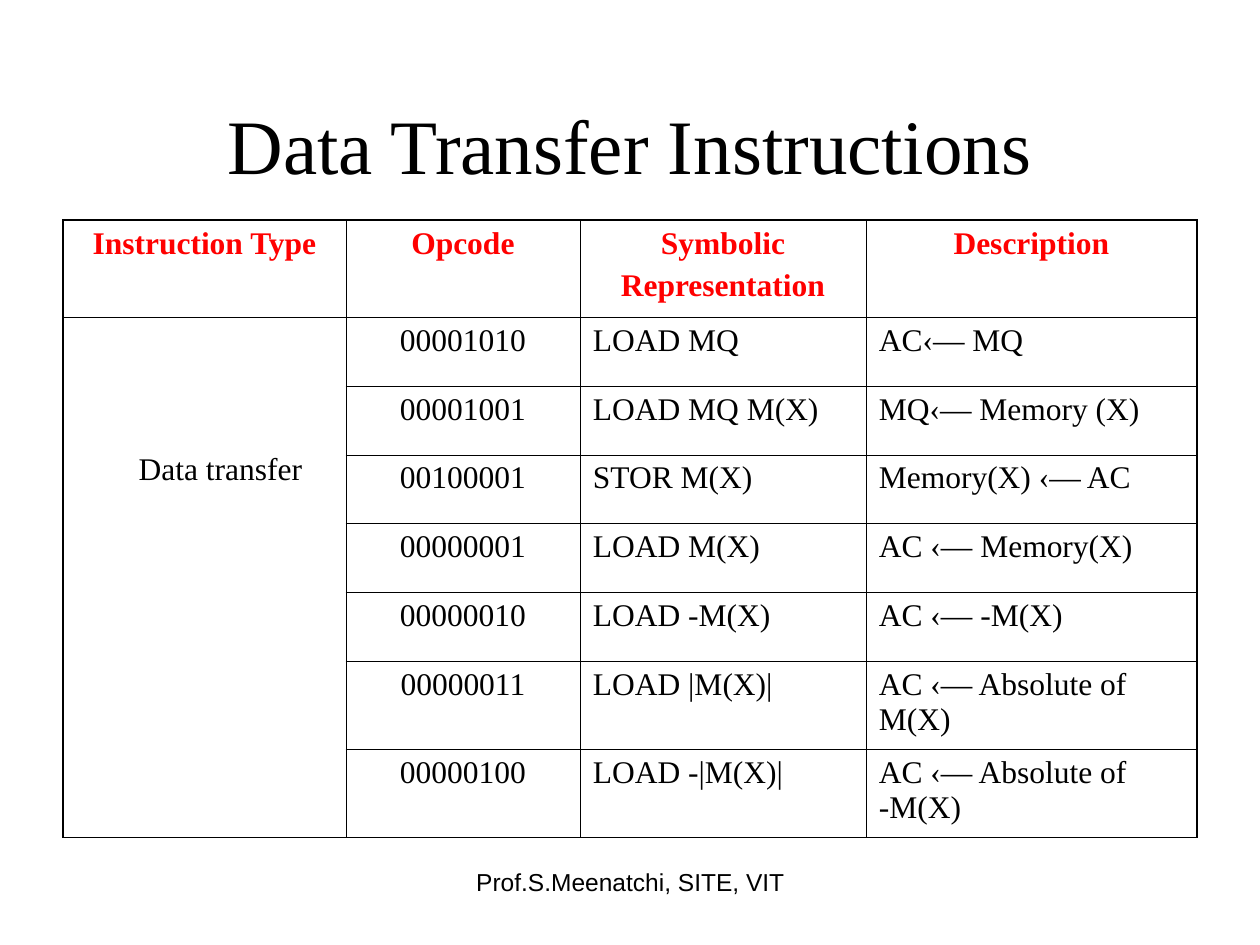
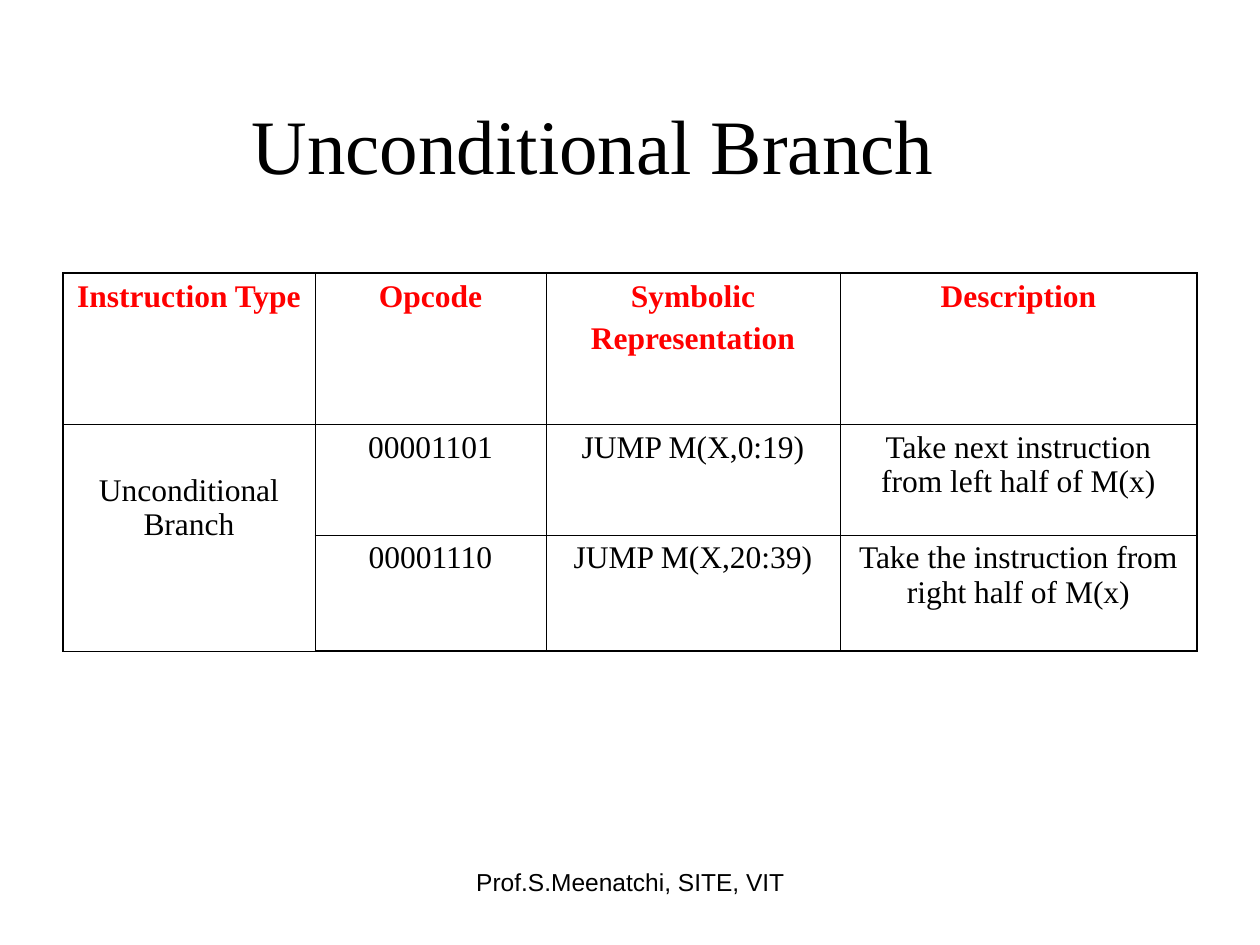
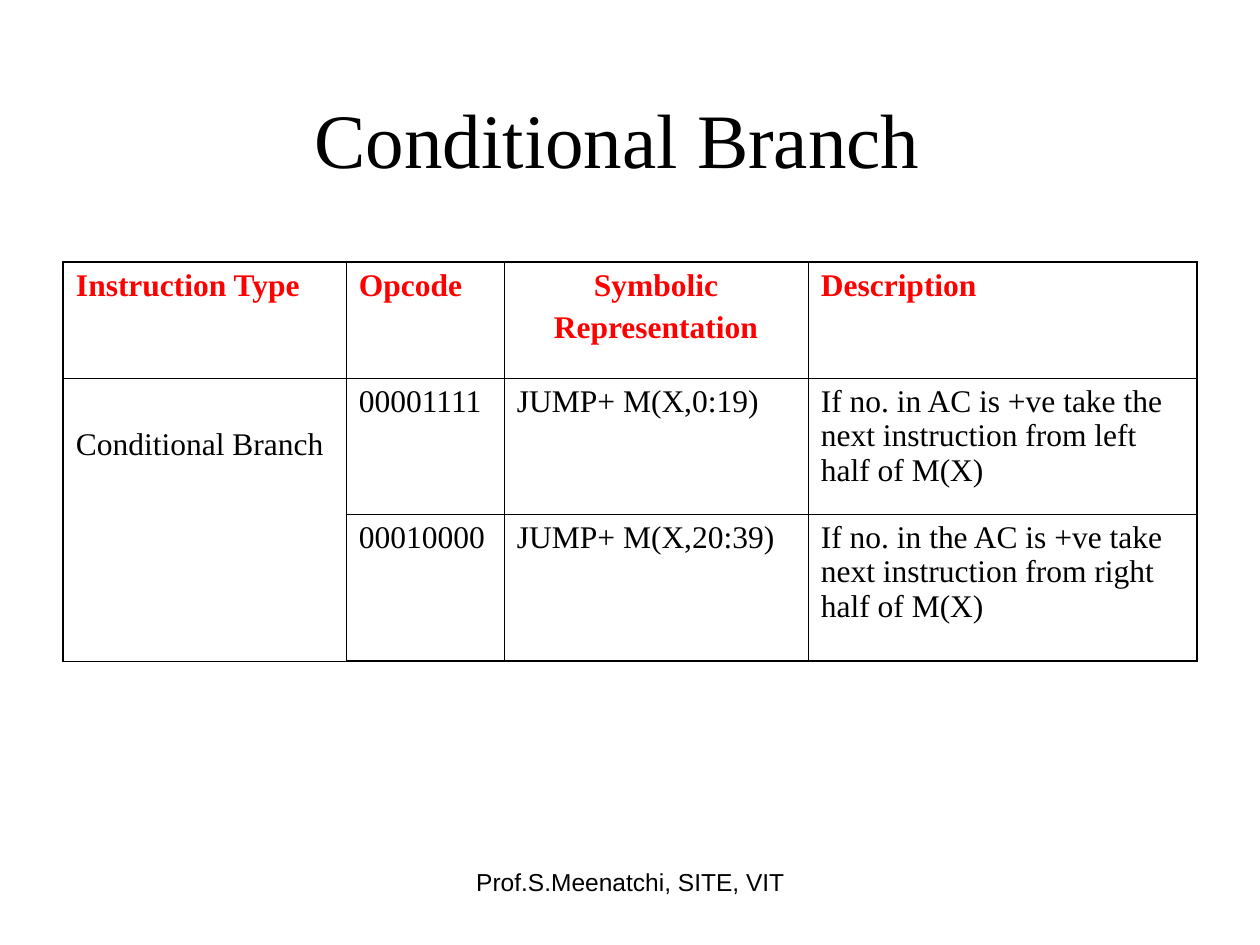
from pptx import Presentation
from pptx.dml.color import RGBColor as RGB
from pptx.enum.text import MSO_ANCHOR as ANCHOR, MSO_AUTO_SIZE as AUTO, PP_ALIGN as ALIGN
from pptx.oxml.ns import qn
from pptx.util import Pt
from lxml.etree import SubElement

# Content
HEADER = ["Instruction Type", "Opcode", "Symbolic\nRepresentation", "Description"]
FOOTER = "Prof.S.Meenatchi, SITE, VIT"

# skip: lines left free above the group name; shift: extra margin that moves text sideways
SLIDES = [
    dict(
        title="Data Transfer Instructions", title_top=38, title_shift=0,
        top=220, cols=[283, 234, 286, 331], rows=[97] + [69] * 5 + [88] * 2,
        header_align="cccc", body_align="ccll",
        group="Data transfer", skip=3, group_shift=32,
        body=[
            ("00001010", "LOAD MQ", "AC‹― MQ"),
            ("00001001", "LOAD MQ M(X)", "MQ‹― Memory (X)"),
            ("00100001", "STOR M(X)", "Memory(X) ‹― AC"),
            ("00000001", "LOAD M(X)", "AC ‹― Memory(X)"),
            ("00000010", "LOAD -M(X)", "AC ‹― -M(X)"),
            ("00000011", "LOAD |M(X)|", "AC ‹― Absolute of M(X)"),
            ("00000100", "LOAD -|M(X)|", "AC ‹― Absolute of\v-M(X)"),
        ],
    ),
    dict(
        title="Unconditional Branch", title_top=38, title_shift=74,
        top=273, cols=[252, 231, 294, 357], rows=[151, 111, 116],
        header_align="cccc", body_align="cccc",
        group="Unconditional Branch", skip=1, group_shift=0,
        body=[
            ("00001101", "JUMP M(X,0:19)", "Take next instruction from left half of M(x)"),
            ("00001110", "JUMP M(X,20:39)", "Take the instruction from right half of M(x)"),
        ],
    ),
    dict(
        title="Conditional Branch", title_top=32, title_shift=25,
        top=262, cols=[283, 158, 304, 389], rows=[116, 136, 147],
        header_align="llcl", body_align="llll",
        group="Conditional Branch", skip=1, group_shift=0,
        body=[
            ("00001111", "JUMP+ M(X,0:19)",
             "If no. in AC is +ve take the next instruction from left half of M(X)"),
            ("00010000", "JUMP+ M(X,20:39)",
             "If no. in the AC is +ve take next instruction from right half of M(X)"),
        ],
    ),
]

# Shared style
COLORS = {"text": "000000", "header": "FF0000", "border": "000000"}
SERIF, SANS = "Times New Roman", "Arial"
ALIGNS = {"l": ALIGN.LEFT, "c": ALIGN.CENTER}
LEFT, WIDTH, TITLE_H = 63, 1134, 158
INSET_X, INSET_Y = 13, 6
LINE_STEP = 43  # one table line with its space before
OUTER, INNER = 1.08, 0.45


def px(n):
    return round(n * 914400 / 126)


def write(tf, text, size=18, font=SERIF, color="text", bold=False, align="c", before=4.5):
    for i, line in enumerate(text.split("\n")):
        p = tf.paragraphs[0] if i == 0 else tf.add_paragraph()
        p.text = line
        p.alignment = ALIGNS[align]
        p.space_before = Pt(before if i else 0)
        for r in p.runs:
            r.font.size, r.font.name, r.font.bold = Pt(size), font, bold
            r.font.color.rgb = RGB.from_string(COLORS[color])


def set_margins(box, left=INSET_X, top=INSET_Y, right=INSET_X):
    box.margin_left, box.margin_right = px(left), px(right)
    box.margin_top, box.margin_bottom = px(top), px(INSET_Y)


def set_borders(cell, widths):
    tc_pr = cell._tc.get_or_add_tcPr()
    for side, width in widths.items():
        ln = SubElement(tc_pr, qn(f"a:ln{side}"), w=str(Pt(width)))
        fill = SubElement(ln, qn("a:solidFill"))
        SubElement(fill, qn("a:srgbClr"), val=COLORS["border"])


def add_title(s, d):
    sp = s.shapes.title
    sp.left, sp.top, sp.width, sp.height = map(px, (LEFT, d["title_top"], WIDTH, TITLE_H))
    tf = sp.text_frame
    tf.word_wrap, tf.auto_size, tf.vertical_anchor = True, AUTO.NONE, ANCHOR.BOTTOM
    set_margins(tf, right=INSET_X + d["title_shift"])
    write(tf, d["title"], size=44)


def add_instruction_table(s, d):
    cols, rows = d["cols"], d["rows"]
    last_row, last_col = len(rows) - 1, len(cols) - 1
    box = map(px, (LEFT, d["top"], sum(cols), sum(rows)))
    table = s.shapes.add_table(len(rows), len(cols), *box).table
    table.first_row = table.horz_banding = False
    for col, w in zip(table.columns, cols):
        col.width = px(w)
    for row, h in zip(table.rows, rows):
        row.height = px(h)

    # Frame: heavy outside, fine inside
    for i in range(len(rows)):
        for j in range(len(cols)):
            cell = table.cell(i, j)
            edges = {"L": j == 0, "R": j == last_col, "T": i == 0, "B": i == last_row}
            set_borders(cell, {k: OUTER if e else INNER for k, e in edges.items()})
            cell.fill.background()
            set_margins(cell)

    # Header and instruction rows
    for j, text in enumerate(HEADER):
        write(table.cell(0, j).text_frame, text, color="header", bold=True,
              align=d["header_align"][j])
    for i, record in enumerate(d["body"], 1):
        for j, text in enumerate(record, 1):
            write(table.cell(i, j).text_frame, text, align=d["body_align"][j])

    # Group name over all instruction rows
    group = table.cell(1, 0)
    group.merge(table.cell(last_row, 0))
    set_margins(group, left=INSET_X + d["group_shift"], top=INSET_Y + d["skip"] * LINE_STEP)
    write(group.text_frame, d["group"], align=d["body_align"][0])


def add_footer(s):
    tf = s.shapes.add_textbox(*map(px, (431, 861, 399, 66))).text_frame
    tf.word_wrap = True
    set_margins(tf)
    write(tf, FOOTER, size=14, font=SANS)


def main():
    prs = Presentation()
    prs.slide_width, prs.slide_height = px(1260), px(945)
    for d in SLIDES:
        s = prs.slides.add_slide(prs.slide_layouts[5])
        add_title(s, d)
        add_instruction_table(s, d)
        add_footer(s)
    prs.save("out.pptx")


if __name__ == "__main__":
    main()
